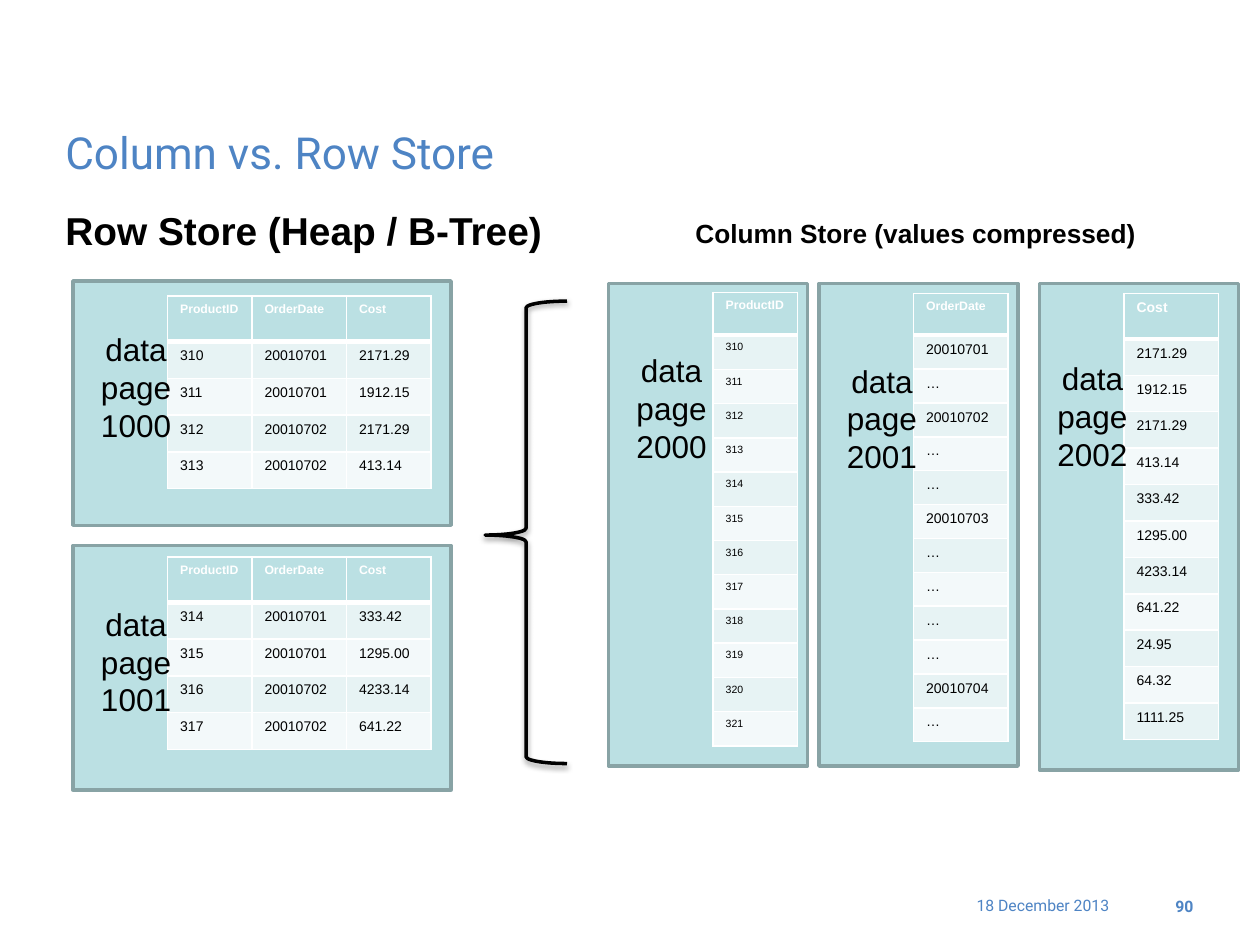
from lxml import etree
from pptx import Presentation
from pptx.dml.color import RGBColor
from pptx.enum.shapes import MSO_SHAPE
from pptx.enum.text import MSO_ANCHOR, PP_ALIGN
from pptx.oxml import parse_xml
from pptx.oxml.ns import nsdecls, qn
from pptx.util import Inches, Pt

BLACK = RGBColor(0x00, 0x00, 0x00)
WHITE = RGBColor(0xFF, 0xFF, 0xFF)
BLUE = RGBColor(0x4E, 0x84, 0xC4)
TEAL = RGBColor(0xBB, 0xE0, 0xE3)
TEAL_EDGE = RGBColor(0x88, 0xA3, 0xA5)
BAND_DARK = RGBColor(0xE7, 0xF3, 0xF4)
BAND_LIGHT = RGBColor(0xF3, 0xF9, 0xFA)

ROW_STORE_HEADER = ["ProductID", "OrderDate", "Cost"]
ROW_STORE_WIDTHS = [0.67, 0.75, 0.67]


class StoreSlide:
    """Holds the fonts and the current slide, and draws its elements."""

    heading_font = "Roboto"
    body_font = "Arial"

    def __init__(self, slide):
        self.slide = slide

    def add_run(self, paragraph, text, size, color, bold=False, font=None):
        run = paragraph.add_run()
        run.text = text
        run.font.size = Pt(size)
        run.font.name = font or self.body_font
        run.font.bold = bold
        run.font.color.rgb = color

    def add_text(self, box, lines, size, color=BLACK, bold=False, font=None,
                 align=PP_ALIGN.LEFT, anchor=MSO_ANCHOR.TOP, spacing=None):
        shape = self.slide.shapes.add_textbox(*map(Inches, box))
        frame = shape.text_frame
        frame.word_wrap = True
        frame.vertical_anchor = anchor
        for index, line in enumerate(lines):
            paragraph = frame.add_paragraph() if index else frame.paragraphs[0]
            paragraph.alignment = align
            if spacing:
                paragraph.line_spacing = spacing
            self.add_run(paragraph, line, size, color, bold, font)

    def add_borders(self, cell, top=1, bottom=1):
        properties = cell._tc.get_or_add_tcPr()
        for side, width in (("L", 1), ("R", 1), ("T", top), ("B", bottom)):
            line = etree.SubElement(properties, qn(f"a:ln{side}"), w=str(Pt(width)))
            fill = etree.SubElement(line, qn("a:solidFill"))
            etree.SubElement(fill, qn("a:srgbClr"), val=str(WHITE))

    def add_table(self, left, top, height, header_height, widths, rows,
                  header_size=7, body_size=8):
        frame = self.slide.shapes.add_table(
            len(rows), len(widths), Inches(left), Inches(top),
            Inches(sum(widths)), Inches(height))
        table = frame.table
        body_height = (height - header_height) / (len(rows) - 1)
        for column, width in zip(table.columns, widths):
            column.width = Inches(width)
        for index, values in enumerate(rows):
            is_header = index == 0
            table.rows[index].height = Inches(header_height if is_header else body_height)
            band = TEAL if is_header else BAND_DARK if index % 2 else BAND_LIGHT
            for cell, value in zip(table.rows[index].cells, values):
                self.add_borders(cell, top=3 if index == 1 else 1,
                                 bottom=3 if is_header else 1)
                cell.fill.solid()
                cell.fill.fore_color.rgb = band
                self.add_run(cell.text_frame.paragraphs[0], value,
                             header_size if is_header else body_size,
                             WHITE if is_header else BLACK, bold=is_header)

    def add_page(self, box, number, label_left, label_top, **table):
        """One data page: its frame, its table and its label."""
        page = self.slide.shapes.add_shape(MSO_SHAPE.RECTANGLE, *map(Inches, box))
        page.shadow.inherit = False
        page.fill.solid()
        page.fill.fore_color.rgb = TEAL
        page.line.color.rgb = TEAL_EDGE
        page.line.width = Pt(2)
        self.add_table(**table)
        self.add_text((label_left, label_top, 1, 1.01), ["data page", number], 18,
                      align=PP_ALIGN.CENTER)

    def add_brace(self, box):
        brace = self.slide.shapes.add_shape(MSO_SHAPE.LEFT_BRACE, *map(Inches, box))
        brace.adjustments[0] = 0.083
        brace.adjustments[1] = 0.506
        brace.fill.background()
        brace.line.color.rgb = BLACK
        brace.line.width = Pt(2)
        brace._element.spPr.append(parse_xml(
            f'<a:effectLst {nsdecls("a")}>'
            f'<a:outerShdw blurRad="{Pt(3.1)}" dist="{Pt(1.6)}" dir="5400000" rotWithShape="0">'
            '<a:srgbClr val="000000"><a:alpha val="38000"/></a:srgbClr>'
            '</a:outerShdw></a:effectLst>'))


def as_column(*values):
    return [[value] for value in values]


def main():
    presentation = Presentation()
    presentation.slide_width = Inches(10)
    presentation.slide_height = Inches(7.5)
    store = StoreSlide(presentation.slides.add_slide(presentation.slide_layouts[6]))

    # Title and headings
    store.add_text((0.42, 0.94, 9, 0.53), ["Column vs. Row Store"], 25.2, BLUE,
                   font=store.heading_font, anchor=MSO_ANCHOR.MIDDLE)
    store.add_text((0.42, 1.5, 4.42, 0.56), ["Row Store (Heap / B-Tree)"], 22.2,
                   bold=True, anchor=MSO_ANCHOR.BOTTOM)
    store.add_text((5.42, 1.5, 4.08, 0.52), ["Column Store (values compressed)"], 15,
                   bold=True, anchor=MSO_ANCHOR.BOTTOM, spacing=0.8)

    # Row store pages
    row_pages = [
        ("1000", 2.23, 2.57, 2.35, [
            ["310", "20010701", "2171.29"],
            ["311", "20010701", "1912.15"],
            ["312", "20010702", "2171.29"],
            ["313", "20010702", "413.14"]]),
        ("1001", 4.33, 4.75, 4.42, [
            ["314", "20010701", "333.42"],
            ["315", "20010701", "1295.00"],
            ["316", "20010702", "4233.14"],
            ["317", "20010702", "641.22"]]),
    ]
    for number, page_top, label_top, table_top, records in row_pages:
        store.add_page((0.58, page_top, 3, 1.94), number, 0.58, label_top,
                       left=1.33, top=table_top, height=1.53, header_height=0.36,
                       widths=ROW_STORE_WIDTHS, rows=[ROW_STORE_HEADER] + records)

    # Column store pages
    product_ids = [str(product) for product in range(310, 322)]
    store.add_page((4.83, 2.25, 1.58, 3.83), "2000", 4.83, 2.74,
                   left=5.66, top=2.32, height=3.6, header_height=0.34,
                   widths=[0.67], rows=as_column("ProductID", *product_ids),
                   body_size=6)
    store.add_page((6.5, 2.25, 1.58, 3.83), "2001", 6.5, 2.82,
                   left=7.25, top=2.33, height=3.56, header_height=0.33,
                   widths=[0.75], rows=as_column(
                       "OrderDate", "20010701", "…", "20010702", "…", "…", "20010703",
                       "…", "…", "…", "…", "20010704", "…"))
    store.add_page((8.25, 2.25, 1.58, 3.86), "2002", 8.17, 2.8,
                   left=8.92, top=2.33, height=3.54, header_height=0.36,
                   widths=[0.75], rows=as_column(
                       "Cost", "2171.29", "1912.15", "2171.29", "413.14", "333.42",
                       "1295.00", "4233.14", "641.22", "24.95", "64.32", "1111.25"),
                   header_size=8)

    # Brace between the two stores
    store.add_brace((3.85, 2.39, 0.65, 3.67))

    # Footer
    store.add_text((7.35, 7.06, 1.55, 0.35), ["18 December 2013"], 9, BLUE,
                   font=store.heading_font, align=PP_ALIGN.RIGHT)
    store.add_text((9.15, 7.07, 0.42, 0.29), ["90"], 9, BLUE, bold=True,
                   font=store.heading_font, align=PP_ALIGN.RIGHT)

    presentation.save("out.pptx")


if __name__ == "__main__":
    main()
